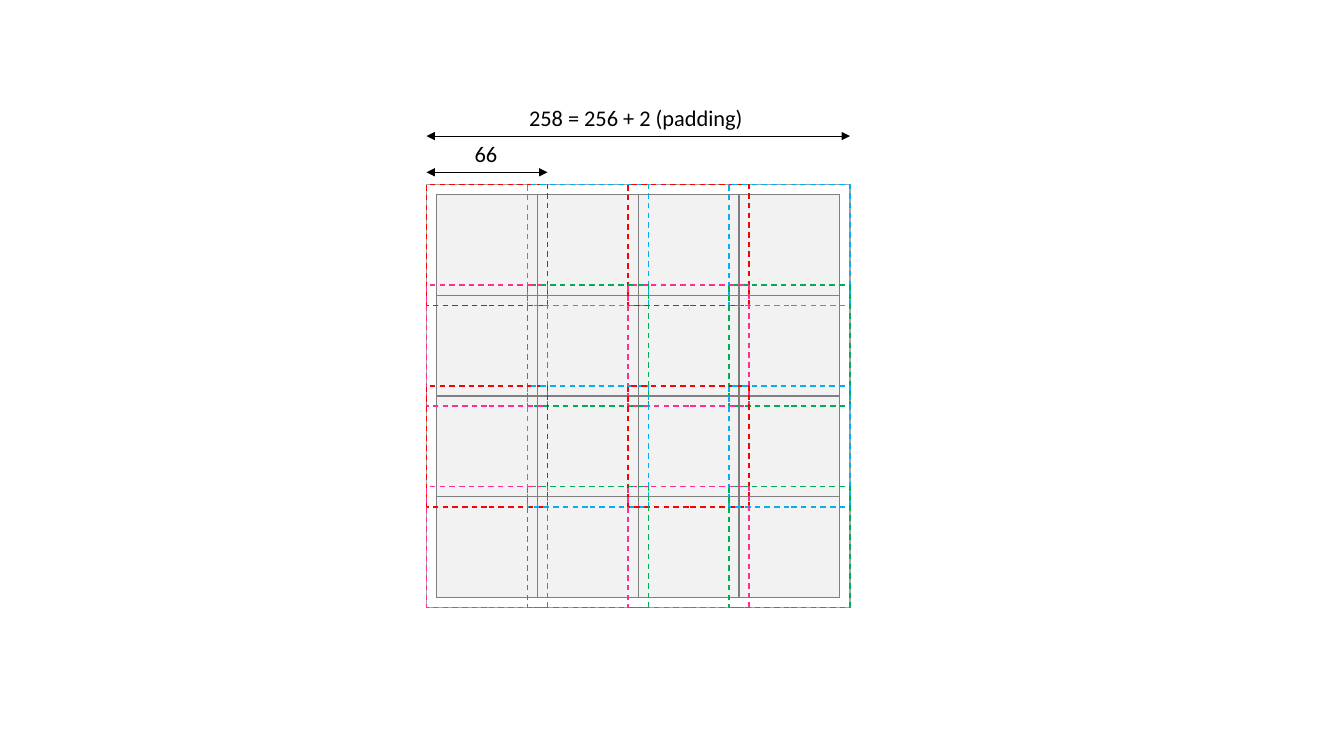
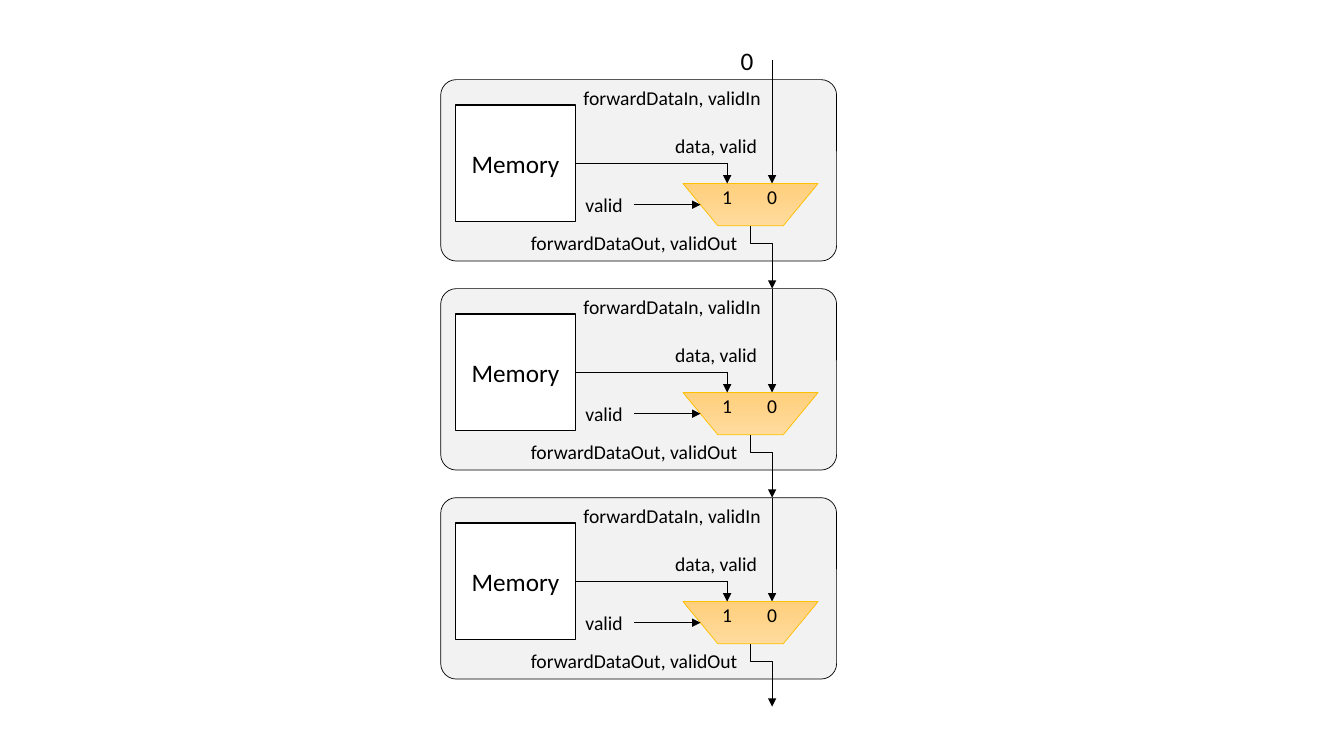
from itertools import product

from lxml.etree import SubElement
from pptx import Presentation
from pptx.dml.color import RGBColor
from pptx.enum.dml import MSO_LINE_DASH_STYLE as Dash
from pptx.enum.shapes import MSO_CONNECTOR_TYPE as Link, MSO_SHAPE as Shape
from pptx.enum.text import MSO_ANCHOR as Anchor, MSO_AUTO_SIZE as AutoSize, PP_ALIGN as Align
from pptx.oxml.ns import qn
from pptx.util import Pt

BLACK = RGBColor(0x00, 0x00, 0x00)
WHITE = RGBColor(0xFF, 0xFF, 0xFF)
PANEL_GREY = RGBColor(0xF2, 0xF2, 0xF2)
GRID_GREY = RGBColor(0x80, 0x80, 0x80)
FRAME_GREY = RGBColor(0xA5, 0xA5, 0xA5)
RED = RGBColor(0xFF, 0x00, 0x00)
BLUE = RGBColor(0x00, 0xB0, 0xF0)
GREEN = RGBColor(0x00, 0xB0, 0x50)
PINK = RGBColor(0xFF, 0x2F, 0x92)
GOLD = RGBColor(0xFF, 0xC0, 0x00)
GOLD_LIGHT = RGBColor(0xFF, 0xDB, 0x9E)
GOLD_DARK = RGBColor(0xFF, 0xD0, 0x7C)


class Deck:
    """Holds the shared style and the current page; all lengths are points."""

    font = "Calibri"
    thin, normal = 0.5, 1

    def __init__(self, width, height):
        self.file = Presentation()
        self.file.slide_width, self.file.slide_height = Pt(width), Pt(height)
        self.page = None

    def new_page(self):
        self.page = self.file.slides.add_slide(self.file.slide_layouts[6])

    def add_span(self, frame, text, size, align):
        para = frame.paragraphs[0]
        para.alignment = align
        span = para.add_run()
        span.text = text
        span.font.name, span.font.size = self.font, Pt(size)
        span.font.color.rgb = BLACK

    def label(self, text, left, top, width, size, align=Align.LEFT):
        height = 1.2 * size + 7.2
        box = self.page.shapes.add_textbox(Pt(left), Pt(top), Pt(width), Pt(height))
        box.text_frame.word_wrap = False
        box.text_frame.auto_size = AutoSize.SHAPE_TO_FIT_TEXT
        self.add_span(box.text_frame, text, size, align)

    def shape(self, kind, left, top, width, height, fill, line, weight, adjust=None):
        shape = self.page.shapes.add_shape(kind, Pt(left), Pt(top), Pt(width), Pt(height))
        shape.shadow.inherit = False
        if fill is None:
            shape.fill.background()
        else:
            shape.fill.solid()
            shape.fill.fore_color.rgb = fill
        shape.line.color.rgb, shape.line.width = line, Pt(weight)
        if adjust is not None:
            shape.adjustments[0] = adjust
        return shape

    def text_block(self, text, left, top, width, height, size):
        block = self.shape(Shape.RECTANGLE, left, top, width, height, WHITE, BLACK, self.normal)
        block.text_frame.vertical_anchor = Anchor.MIDDLE
        self.add_span(block.text_frame, text, size, Align.CENTER)

    def dashed_square(self, left, top, side, color, flip):
        square = self.shape(Shape.RECTANGLE, left, top, side, side, None, color, self.normal)
        square.line.dash_style = Dash.DASH
        if flip:
            square._element.spPr.find(qn("a:xfrm")).set("flipH", "1")

    def multiplexer(self, left, top, width, height):
        mux = self.shape(Shape.TRAPEZOID, left, top, width, height, None, GOLD, self.thin, 0.824)
        mux.rotation = 180
        mux.fill.gradient()
        mux.fill.gradient_angle = 270
        for stop, color in zip(mux.fill.gradient_stops, (GOLD_LIGHT, GOLD_DARK)):
            stop.color.rgb = color

    def line(self, x1, y1, x2, y2, ends=("tailEnd",), kind=Link.STRAIGHT):
        link = self.page.shapes.add_connector(kind, Pt(x1), Pt(y1), Pt(x2), Pt(y2))
        link.line.color.rgb, link.line.width = BLACK, Pt(self.thin)
        properties = link._element.spPr
        for end in ends:
            SubElement(properties.find(qn("a:ln")), qn(f"a:{end}"), type="triangle")
        SubElement(properties, qn("a:effectLst"))
        return link

    def down_step(self, x1, y1, x2, y2, bend):
        """Elbow arrow that leaves and arrives vertically."""
        mid_x, mid_y = (x1 + x2) / 2, (y1 + y2) / 2
        half_run, half_drop = (x2 - x1) / 2, (y2 - y1) / 2
        # A quarter turn of a horizontal elbow around its centre
        link = self.line(mid_x + half_drop, mid_y - half_run,
                         mid_x - half_drop, mid_y + half_run, kind=Link.ELBOW)
        properties = link._element.spPr
        properties.find(qn("a:xfrm")).set("rot", str(270 * 60000))
        guides = properties.find(qn("a:prstGeom")).get_or_add_avLst()
        SubElement(guides, qn("a:gd"), name="adj1", fmla=f"val {round(bend * 100000)}")

    def grid(self, left, top, count, cell_size):
        side = Pt(count * cell_size)
        table = self.page.shapes.add_table(count, count, Pt(left), Pt(top), side, side).table
        table.first_row = table.horz_banding = False
        for cell in table.iter_cells():
            properties = cell._tc.get_or_add_tcPr()
            for edge in ("lnL", "lnR", "lnT", "lnB"):
                border = SubElement(properties, qn(f"a:{edge}"), w=str(Pt(self.normal)))
                paint = SubElement(border, qn("a:solidFill"))
                SubElement(paint, qn("a:srgbClr"), val=str(GRID_GREY))
            cell.fill.solid()
            cell.fill.fore_color.rgb = PANEL_GREY


def tiling_page(deck):
    deck.new_page()
    left, top, count, cell, padding = 304.7, 131.7, 4, 72, 7.2
    side, tile = count * cell + 2 * padding, cell + 2 * padding

    # Padded frame and cells
    deck.shape(Shape.RECTANGLE, left, top, side, side, WHITE, FRAME_GREY, deck.normal)
    deck.grid(left + padding, top + padding, count, cell)

    # Overlapping tiles: each row is stacked the other way round
    colors = ((RED, BLUE), (PINK, GREEN))
    for row, step in product(range(count), repeat=2):
        odd = row % 2
        column = count - 1 - step if odd else step
        deck.dashed_square(left + column * cell, top + row * cell, tile,
                           colors[odd][column % 2], odd)

    # Dimensions
    for text, length, y, width in (("258 = 256 + 2 (padding)", side, 97.2, 169.2),
                                   ("66", tile, 123.1, 31)):
        deck.line(left, y, left + length, y, ends=("headEnd", "tailEnd"))
        deck.label(text, left + (length - width) / 2 - 0.5, y - 26.4, width, 16)


def forwarding_page(deck):
    deck.new_page()
    first_top, pitch = 56.9, 149.3
    data_x, out_x, forward_x = 519.4, 536.1, 551.5
    memory_left, memory_width = 325.4, 85.7

    deck.label("0", 522, 28.8, 23.8, 18)
    for stage in range(3):
        top = first_top + stage * pitch
        mux_top, mux_height = top + 74.2, 30.2
        mux_bottom, data_y, valid_y = mux_top + mux_height, top + 59.8, top + 89.3

        # Panel and forwarded input
        deck.shape(Shape.ROUNDED_RECTANGLE, 314.8, top, 282.8, 129.6,
                   PANEL_GREY, BLACK, deck.thin, 0.086)
        deck.line(forward_x, top if stage else top - 13.7, forward_x, mux_top)

        # Multiplexer and its inputs
        deck.multiplexer(487.9, mux_top, 96.4, mux_height)
        deck.line(452.9, valid_y, 500.4, valid_y)
        for digit, x in (("1", data_x), ("0", forward_x)):
            deck.label(digit, x - 11, mux_top - 2.9, 22, 14, Align.CENTER)

        # Memory and its data path
        deck.text_block("Memory", memory_left, top + 18, memory_width, 83.5, 18)
        deck.line(memory_left + memory_width, data_y, data_x, data_y, ends=())
        deck.line(data_x, data_y, data_x, mux_top)

        # Signal names
        for text, left, offset, width in (("forwardDataIn, validIn", 409.7, 0.7, 142.6),
                                          ("forwardDataOut, validOut", 372.2, 104.4, 163.4),
                                          ("valid", 411.1, 77, 41.8),
                                          ("data, valid", 475.2, 35.3, 74.2)):
            deck.label(text, left, top + offset, width, 14)

        # Forwarded output
        deck.down_step(out_x, mux_bottom, forward_x, top + pitch, 0.279)


def main():
    deck = Deck(960, 540)
    tiling_page(deck)
    forwarding_page(deck)
    deck.file.save("out.pptx")


if __name__ == "__main__":
    main()
